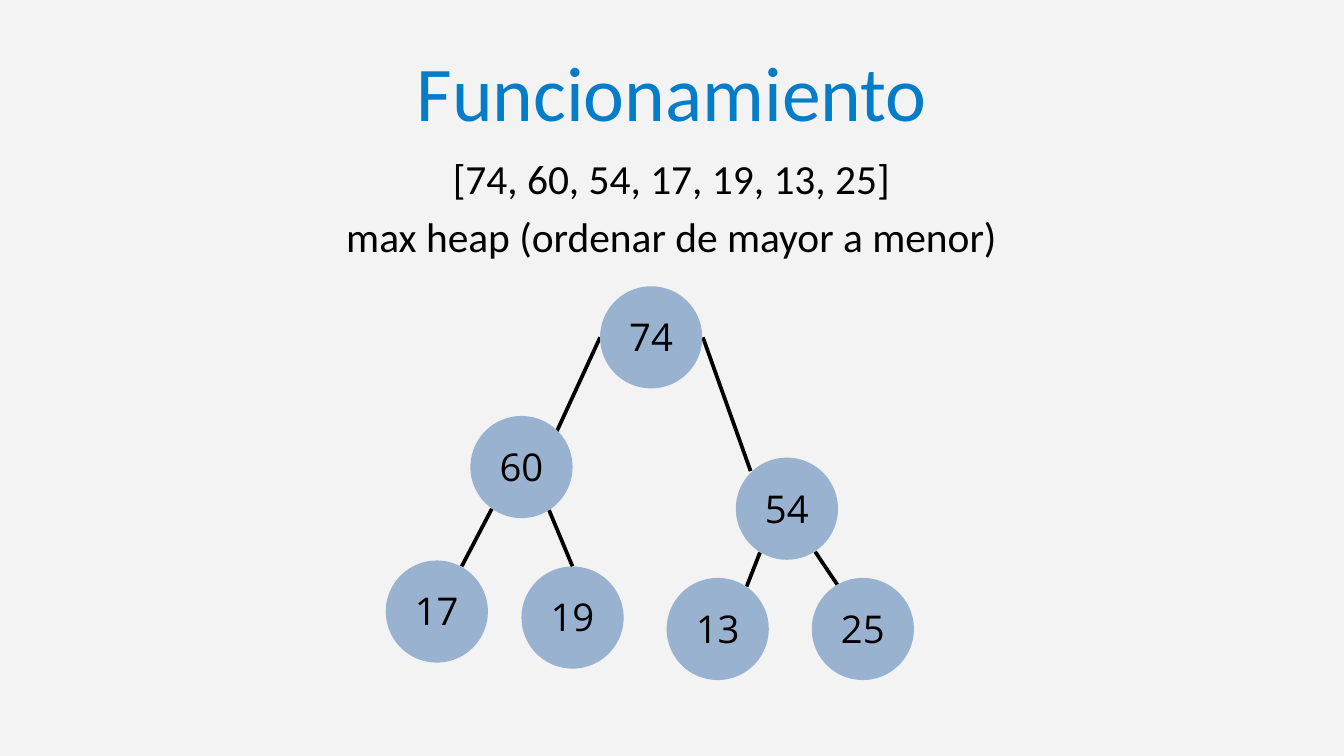
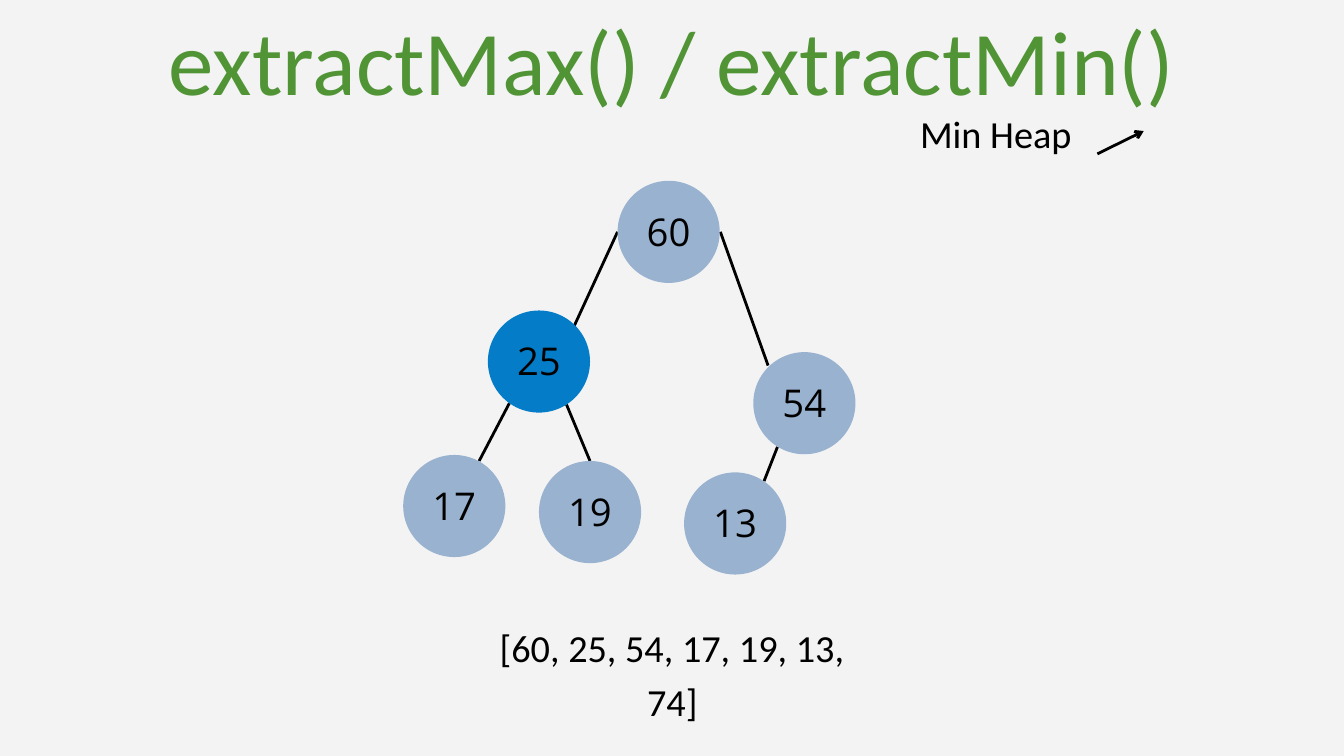
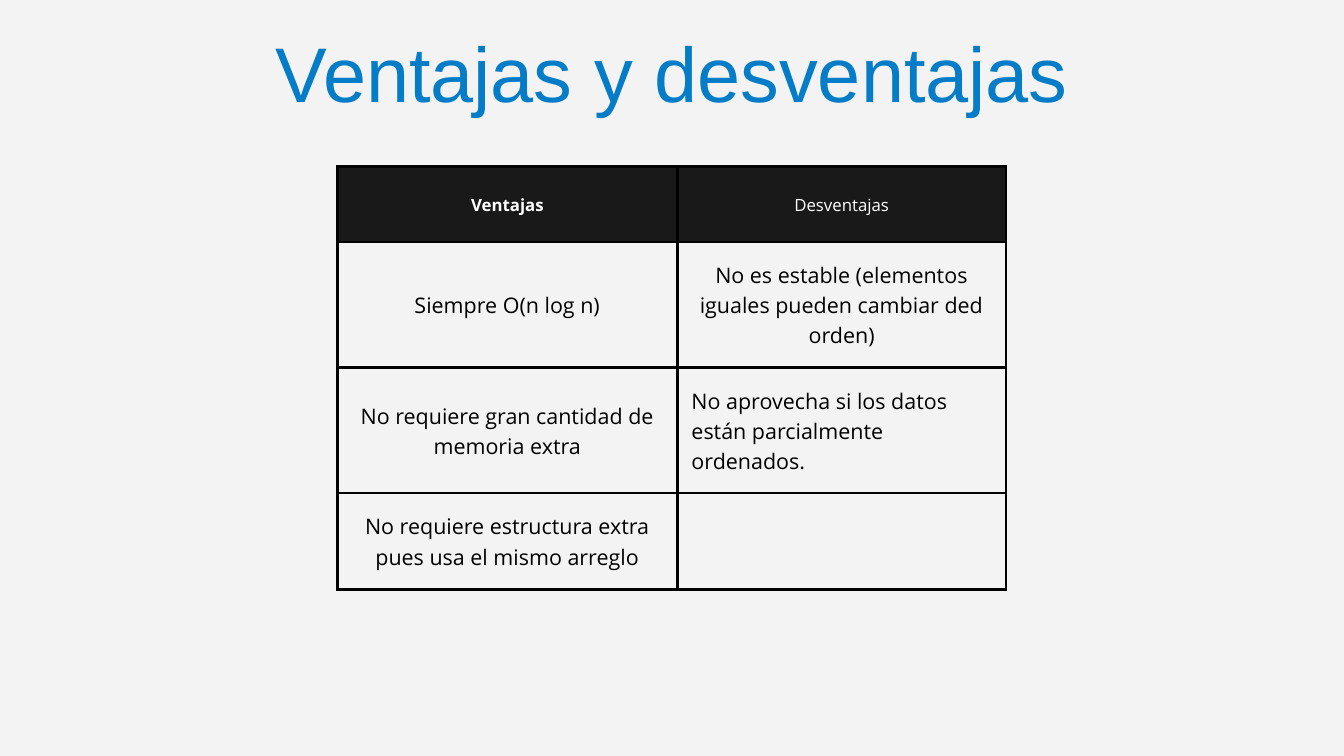
from lxml.etree import SubElement
from pptx import Presentation
from pptx.dml.color import RGBColor
from pptx.enum.shapes import MSO_CONNECTOR as Connector, MSO_SHAPE as Shape
from pptx.enum.text import MSO_ANCHOR as Anchor, PP_ALIGN as Align
from pptx.oxml.ns import qn
from pptx.util import Inches, Pt

# Grid: square cells, one inch each
COLUMNS, ROWS = 20, 11.25
CELL = Inches(1)

# Palette and fonts
BACKGROUND, BLACK, WHITE = "F3F3F3", "000000", "FFFFFF"
BLUE, GREEN, PALE_BLUE, HEADER = "047CC7", "509436", "99B2CF", "191919"
BODY_FONT, NODE_FONT = "Calibri", "Open Sans"

# Heap layout, measured from the centre of the root
NODE_SIZE = 1.52
NODE_CENTRES = [(0, 0), (-1.93, 1.93), (2.02, 2.55), (-3.19, 4.08),
                (-1.17, 4.17), (0.99, 4.34), (3.15, 4.34)]
EDGES = [((-0.76, 0), (-1.46, 1.52)), ((0.77, 0), (1.48, 1.99)),
         ((-2.37, 2.55), (-2.82, 3.41)), ((-1.52, 2.57), (-1.17, 3.41)),
         ((1.62, 3.2), (1.42, 3.71)), ((2.44, 3.19), (2.77, 3.68))]


def colour(value):
    return RGBColor.from_string(value)


def grid(*cells):
    return [round(cell * CELL) for cell in cells]


def write(frame, text, size=41, font=BODY_FONT, ink=BLACK, bold=False,
          align=Align.CENTER, spacing=1.4):
    """Fill a text frame, one paragraph for each line of text."""
    for index, line in enumerate(text.split("\n")):
        paragraph = frame.paragraphs[0] if index == 0 else frame.add_paragraph()
        paragraph.alignment = align
        paragraph.line_spacing = Pt(round(size * spacing, 1))
        run = paragraph.add_run()
        run.text = line
        run.font.name, run.font.size, run.font.bold = font, Pt(size), bold
        run.font.color.rgb = colour(ink)


class Deck:
    def __init__(self):
        self.presentation = Presentation()
        self.presentation.slide_width, self.presentation.slide_height = grid(COLUMNS, ROWS)
        self.slide = None

    def new_slide(self):
        self.slide = self.presentation.slides.add_slide(self.presentation.slide_layouts[6])
        fill = self.slide.background.fill
        fill.solid()
        fill.fore_color.rgb = colour(BACKGROUND)

    def text(self, text, left, top, width, height, **style):
        frame = self.slide.shapes.add_textbox(*grid(left, top, width, height)).text_frame
        frame.word_wrap = True
        frame.margin_left = frame.margin_right = frame.margin_top = frame.margin_bottom = 0
        write(frame, text, **style)

    def title(self, text, top, width, height, size=83, ink=BLUE, font=BODY_FONT):
        self.text(text, (COLUMNS - width) / 2, top, width, height,
                  size=size, ink=ink, font=font)

    def line(self, start, end, weight, arrow=False):
        connector = self.slide.shapes.add_connector(Connector.STRAIGHT, *grid(*start, *end))
        connector.line.color.rgb = colour(BLACK)
        connector.line.width = Pt(weight)
        properties = connector.element.spPr
        if arrow:
            SubElement(properties.find(qn("a:ln")), qn("a:tailEnd"), type="arrow")
        SubElement(properties, qn("a:effectLst"))

    def node(self, value, x, y, fill):
        half = NODE_SIZE / 2
        shape = self.slide.shapes.add_shape(
            Shape.OVAL, *grid(x - half, y - half, NODE_SIZE, NODE_SIZE))
        shape.shadow.inherit = False
        shape.fill.solid()
        shape.fill.fore_color.rgb = colour(fill)
        shape.line.fill.background()
        frame = shape.text_frame
        frame.vertical_anchor = Anchor.MIDDLE
        frame.margin_left = frame.margin_right = frame.margin_top = 0
        frame.margin_bottom = Inches(0.14)
        write(frame, str(value), font=NODE_FONT)

    def heap(self, values, x, y, weight, marked=None):
        """Draw the values as a binary tree whose root is centred on x, y."""
        for ends in EDGES[:len(values) - 1]:
            start, end = [(x + dx, y + dy) for dx, dy in ends]
            self.line(start, end, weight)
        for value, (dx, dy) in zip(values, NODE_CENTRES):
            self.node(value, x + dx, y + dy, BLUE if value == marked else PALE_BLUE)

    def table(self, rows, left, top, widths, heights):
        table = self.slide.shapes.add_table(
            len(rows), len(widths), *grid(left, top, sum(widths), sum(heights))).table
        table.first_row = table.horz_banding = False
        for column, width in zip(table.columns, grid(*widths)):
            column.width = width
        for row, height in zip(table.rows, grid(*heights)):
            row.height = height
        for row_index, row in enumerate(rows):
            for column_index, (text, style) in enumerate(row):
                self.cell(table.cell(row_index, column_index), text,
                          is_header=row_index == 0, **style)

    def cell(self, cell, text, is_header, **style):
        properties = cell._tc.get_or_add_tcPr()
        for side in ("lnL", "lnR", "lnT", "lnB"):
            border = SubElement(properties, qn(f"a:{side}"), w=str(Pt(3)))
            SubElement(SubElement(border, qn("a:solidFill")), qn("a:srgbClr"), val=BLACK)
        cell.vertical_anchor = Anchor.MIDDLE
        cell.margin_left = cell.margin_right = Inches(0.21)
        cell.margin_top = cell.margin_bottom = Inches(0.21)
        if is_header:
            cell.fill.solid()
            cell.fill.fore_color.rgb = colour(HEADER)
        else:
            cell.fill.background()
        if text:
            write(cell.text_frame, text, font=NODE_FONT, size=18 if is_header else 23,
                  ink=WHITE if is_header else BLACK, **style)


def main():
    deck = Deck()

    # How the heap works
    deck.new_slide()
    deck.title("Funcionamiento", 0.43, 7.86, 1.56)
    deck.text("[74, 60, 54, 17, 19, 13, 25]\nmax heap (ordenar de mayor a menor)",
              4.76, 2.16, 10.47, 1.68, size=44.4)
    deck.heap([74, 60, 54, 17, 19, 13, 25], 9.69, 5.02, weight=4)

    # Extracting the root
    deck.new_slide()
    deck.title("extractMax() / extractMin()", -0.21, 19.14, 1.82, size=97.5, ink=GREEN)
    deck.heap([60, 25, 54, 17, 19, 13], 9.95, 3.45, weight=3, marked=25)
    deck.text("[60, 25, 54, 17, 19, 13, 74]", 7.01, 9.18, 5.99, 0.77)
    deck.text("Min Heap", 13.66, 1.52, 2.32, 0.77)
    deck.line((16.33, 2.29), (17.02, 1.95), weight=3, arrow=True)

    # Advantages and disadvantages
    deck.new_slide()
    deck.table([
        [("Ventajas", {"bold": True}), ("Desventajas", {})],
        [("Siempre O(n log n)", {}),
         ("No es estable (elementos iguales pueden cambiar ded orden)", {})],
        [("No requiere gran cantidad de memoria extra", {}),
         ("No aprovecha si los datos están parcialmente ordenados.", {"align": Align.LEFT})],
        [("No requiere estructura extra pues usa el mismo arreglo", {}), ("", {})],
    ], 5.02, 2.48, widths=[5.06, 4.89], heights=[1.12, 1.87, 1.87, 1.43])
    deck.title("Ventajas y desventajas", 0.14, 12.41, 1.77, font="Arial")

    deck.presentation.save("out.pptx")


if __name__ == "__main__":
    main()
